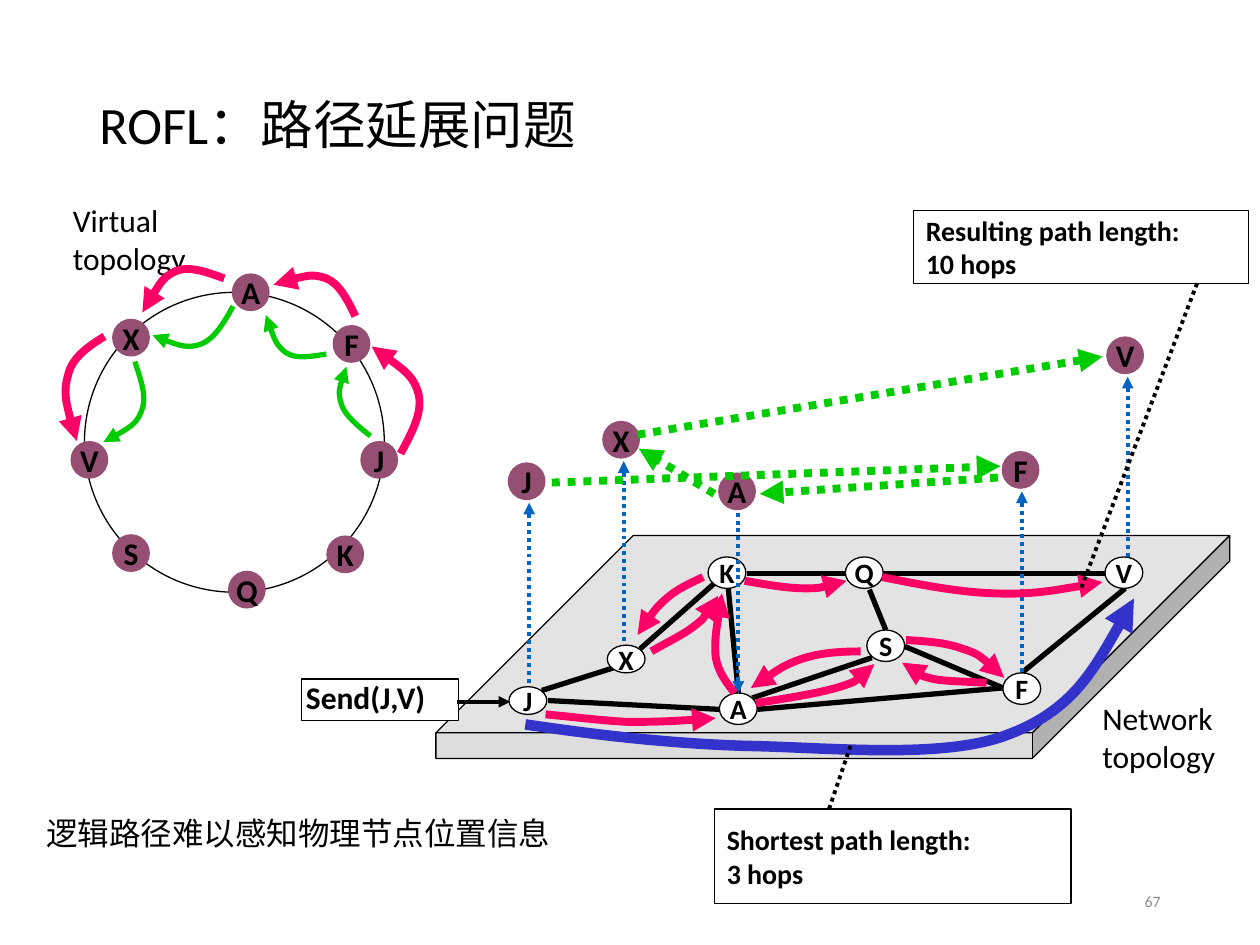
from dataclasses import dataclass

from lxml.etree import SubElement
from pptx import Presentation
from pptx.dml.color import RGBColor
from pptx.enum.dml import MSO_LINE
from pptx.enum.shapes import MSO_CONNECTOR, MSO_SHAPE as SHAPE
from pptx.enum.text import MSO_ANCHOR as ANCHOR, MSO_AUTO_SIZE as AUTO, PP_ALIGN as ALIGN
from pptx.oxml.ns import qn
from pptx.shapes.autoshape import Shape
from pptx.slide import Slide
from pptx.util import Pt

PX = 9144  # EMU per px, 100 px to the inch
LATIN, CJK = "Calibri", "Noto Sans CJK SC"

BLACK = RGBColor(0x00, 0x00, 0x00)
WHITE = RGBColor(0xFF, 0xFF, 0xFF)
SLAB = RGBColor(0xDD, 0xDD, 0xDD)
PLUM = RGBColor(0x95, 0x4F, 0x72)
GREEN = RGBColor(0x00, 0xCC, 0x00)
PINK = RGBColor(0xFF, 0x00, 0x66)
BLUE = RGBColor(0x05, 0x63, 0xC1)
INDIGO = RGBColor(0x33, 0x33, 0xCC)
GREY = RGBColor(0x8C, 0x8C, 0x8C)

Box = tuple[int, int, int, int]
Point = tuple[int, int]


@dataclass(frozen=True)
class Stroke:
    color: RGBColor
    width: float
    dotted: bool = False
    arrow: bool = False


@dataclass(frozen=True)
class Node:
    name: str
    x: int
    y: int
    w: int = 30
    h: int = 30


@dataclass(frozen=True)
class Callout:
    text: str
    box: Box
    start: Point
    end: Point


OUTLINE = Stroke(BLACK, 0.75)
LINK = Stroke(BLACK, 3)
ENTRY = Stroke(BLACK, 2.25, arrow=True)
LEADER = Stroke(BLACK, 2.25, dotted=True)
LIFT = Stroke(BLUE, 2.25, dotted=True, arrow=True)
VIRTUAL_HOP = Stroke(GREEN, 4.5, dotted=True, arrow=True)
RING_HOP = Stroke(GREEN, 3, arrow=True)
REAL_HOP = Stroke(PINK, 4.5, arrow=True)
SHORTEST = Stroke(INDIGO, 6, arrow=True)

RING_NODES = [
    Node("F", 264, 258), Node("A", 184, 217), Node("J", 286, 350), Node("K", 259, 425),
    Node("Q", 181, 453), Node("V", 56, 350), Node("S", 89, 424), Node("X", 89, 253),
]
ROUTERS = [
    Node("J", 404, 545, h=22), Node("K", 562, 442, h=25), Node("Q", 671, 442, h=25),
    Node("F", 796, 534, h=25), Node("V", 877, 442, h=25), Node("A", 571, 550, h=25),
    Node("S", 688, 500, h=25), Node("X", 482, 512, h=22),
]
LINKS = [
    ((487, 530), (430, 548)), ((508, 515), (567, 463)), ((571, 563), (435, 556)),
    ((593, 455), (671, 455)), ((701, 455), (877, 455)), ((893, 467), (811, 534)),
    ((796, 546), (601, 563)), ((796, 546), (718, 513)), ((692, 522), (597, 554)),
    ((690, 468), (703, 500)), ((578, 467), (586, 550)),
]
# Virtual nodes above the slab, and the dotted arrows that lift them
LIFTED_NODES = [
    Node("J", 403, 367), Node("F", 795, 358), Node("A", 570, 375),
    Node("X", 478, 334), Node("V", 878, 267),
]
LIFTS = [
    ((420, 542), (420, 399)), ((811, 533), (811, 390)), ((586, 407), (586, 550)),
    ((495, 509), (495, 366)), ((895, 442), (895, 299)),
]
VIRTUAL_HOPS = [
    ((438, 383), (794, 370)), ((792, 379), (603, 392)),
    ((567, 392), (507, 356)), ((506, 345), (875, 283)),
]
# Curves: a start point, then three Bezier points per segment
RING_HOPS = [
    [(294, 346), (284, 338), (274, 330), (271, 321), (268, 311), (271, 301), (275, 291)],
    [(259, 281), (247, 283), (235, 285), (227, 280), (219, 274), (215, 262), (211, 250)],
    [(185, 243), (178, 256), (170, 269), (160, 273), (149, 277), (135, 272), (121, 266)],
    [(107, 287), (112, 302), (117, 316), (112, 327), (108, 337), (95, 344), (82, 351)],
]
REAL_HOPS = [
    # around the ring
    [(318, 360), (327, 343), (336, 327), (332, 312), (328, 298), (312, 287), (295, 275)],
    [(282, 251), (276, 238), (269, 225), (259, 221), (248, 217), (232, 221), (217, 226)],
    [(178, 221), (164, 216), (151, 211), (140, 215), (129, 220), (121, 234), (113, 248)],
    [(83, 267), (70, 275), (57, 284), (54, 298), (50, 312), (55, 331), (61, 350)],
    # across the slab
    [(433, 567), (455, 569), (477, 572), (499, 573), (521, 573), (544, 572), (568, 570)],
    [(600, 558), (626, 554), (651, 550), (667, 545), (682, 540), (688, 533), (694, 527)],
    [(719, 508), (735, 509), (751, 510), (764, 515), (777, 519), (787, 528), (797, 538)],
    [(783, 542), (768, 541), (752, 541), (741, 539), (729, 536), (722, 531), (716, 526)],
    [(683, 517), (667, 517), (651, 518), (636, 523), (622, 528), (609, 537), (596, 546)],
    [(583, 550), (577, 542), (570, 534), (568, 521), (567, 508), (570, 489), (573, 471)],
    [(558, 458), (548, 463), (538, 467), (529, 475), (520, 483), (513, 493), (506, 504)],
    [(517, 517), (529, 510), (542, 504), (551, 497), (560, 490), (565, 481), (570, 473)],
    [(591, 461), (608, 464), (625, 467), (639, 467), (652, 467), (662, 464), (672, 461)],
    [(700, 458), (730, 464), (760, 470), (790, 471), (819, 472), (847, 467), (875, 462)],
]
SHORTEST_ROUTE = [
    (417, 575), (472, 583), (528, 590), (592, 592), (656, 593),
    (749, 603), (800, 583), (851, 564), (876, 519), (900, 475),
]
CALLOUTS = [
    Callout("Resulting path length:\n10 hops", (725, 167, 266, 58), (950, 225), (858, 467)),
    Callout("Shortest path length:\n3 hops", (567, 642, 283, 75), (658, 642), (675, 592)),
]


def write(sp: Shape, text: str, *, size: float = 18, font: str = LATIN,
          color: RGBColor = BLACK, bold: bool = False, align: ALIGN = ALIGN.LEFT,
          anchor: ANCHOR = ANCHOR.TOP, wrap: bool = True, spacing: float = 1.0) -> None:
    tf = sp.text_frame
    tf.word_wrap, tf.auto_size, tf.vertical_anchor = wrap, AUTO.NONE, anchor
    for i, line in enumerate(text.split("\n")):
        p = tf.paragraphs[0] if i == 0 else tf.add_paragraph()
        p.alignment, p.line_spacing = align, spacing
        r = p.add_run()
        r.text = line
        r.font.size, r.font.bold, r.font.name = Pt(size), bold, font
        r.font.color.rgb = color
        SubElement(r.font._element, qn("a:ea"), typeface=CJK)


def add_text(s: Slide, box: Box, text: str, **fmt) -> None:
    write(s.shapes.add_textbox(*(v * PX for v in box)), text, **fmt)


def apply_stroke(line, stroke: Stroke) -> None:
    line.color.rgb, line.width = stroke.color, Pt(stroke.width)
    if stroke.dotted:
        line.dash_style = MSO_LINE.ROUND_DOT
    if stroke.arrow:
        SubElement(line._get_or_add_ln(), qn("a:tailEnd"), type="triangle")


def add_shape(s: Slide, kind: SHAPE, box: Box, fill: RGBColor | None,
              stroke: Stroke | None = OUTLINE) -> Shape:
    sp = s.shapes.add_shape(kind, *(v * PX for v in box))
    sp.shadow.inherit = False
    if fill is None:
        sp.fill.background()
    else:
        sp.fill.solid()
        sp.fill.fore_color.rgb = fill
    if stroke is None:
        sp.line.fill.background()
    else:
        apply_stroke(sp.line, stroke)
    return sp


def add_line(s: Slide, start: Point, end: Point, stroke: Stroke) -> None:
    c = s.shapes.add_connector(MSO_CONNECTOR.STRAIGHT, *(v * PX for v in start + end))
    apply_stroke(c.line, stroke)
    SubElement(c._element.spPr, qn("a:effectLst"))


def add_curve(s: Slide, points: list[Point], stroke: Stroke) -> None:
    builder = s.shapes.build_freeform(*points[0], scale=PX)
    builder.add_line_segments(points[1:], close=False)
    sp = builder.convert_to_shape()
    sp.shadow.inherit = False
    sp.fill.background()
    apply_stroke(sp.line, stroke)
    # Join each three straight segments into one Bezier segment
    segments = list(sp._element.iter(qn("a:lnTo")))
    for first, *others in zip(segments[::3], segments[1::3], segments[2::3]):
        first.tag = qn("a:cubicBezTo")
        for seg in others:
            first.append(seg[0])
            seg.getparent().remove(seg)


def add_node(s: Slide, n: Node, fill: RGBColor, stroke: Stroke | None, size: int) -> None:
    sp = add_shape(s, SHAPE.OVAL, (n.x, n.y, n.w, n.h), fill, stroke)
    write(sp, n.name, size=size, bold=True, align=ALIGN.CENTER, anchor=ANCHOR.MIDDLE, wrap=False)


def add_callout(s: Slide, c: Callout) -> None:
    sp = add_shape(s, SHAPE.RECTANGLE, c.box, None)
    write(sp, c.text, size=16, bold=True, anchor=ANCHOR.MIDDLE)
    add_line(s, c.start, c.end, LEADER)


def main() -> None:
    prs = Presentation()
    prs.slide_width, prs.slide_height = 1000 * PX, 750 * PX
    s = prs.slides.add_slide(prs.slide_layouts[6])
    add_text(s, (69, 40, 862, 123), "ROFL：路径延展问题", size=30, anchor=ANCHOR.MIDDLE, spacing=0.9)

    # Network topology on the slab
    add_shape(s, SHAPE.CUBE, (346, 425, 630, 177), SLAB).adjustments[0] = 0.885
    add_shape(s, SHAPE.RECTANGLE, (239, 539, 125, 33), WHITE)
    for start, end in LINKS:
        add_line(s, start, end, LINK)
    for node in ROUTERS:
        add_node(s, node, WHITE, OUTLINE, 16)
    add_text(s, (865, 550, 119, 70), "Network\ntopology", wrap=False)
    add_text(s, (233, 533, 116, 40), "Send(J,V)", bold=True, wrap=False)
    add_line(s, (363, 557), (405, 557), ENTRY)

    # Virtual topology ring
    add_text(s, (48, 155, 115, 70), "Virtual\ntopology", wrap=False)
    add_shape(s, SHAPE.OVAL, (67, 232, 238, 238), WHITE)
    for node in RING_NODES:
        add_node(s, node, PLUM, None, 18)
    for curve in RING_HOPS:
        add_curve(s, curve, RING_HOP)

    # Virtual hops above the slab
    for start, end in LIFTS:
        add_line(s, start, end, LIFT)
    for node in LIFTED_NODES:
        add_node(s, node, PLUM, None, 18)
    for start, end in VIRTUAL_HOPS:
        add_line(s, start, end, VIRTUAL_HOP)

    # Routes taken, callouts and footer
    for curve in REAL_HOPS:
        add_curve(s, curve, REAL_HOP)
    add_curve(s, SHORTEST_ROUTE, SHORTEST)
    for callout in CALLOUTS:
        add_callout(s, callout)
    add_text(s, (27, 641, 525, 40), "逻辑路径难以感知物理节点位置信息", font=CJK)
    add_text(s, (706, 695, 225, 40), "67", size=9, color=GREY, align=ALIGN.RIGHT, anchor=ANCHOR.MIDDLE)
    prs.save("out.pptx")


if __name__ == "__main__":
    main()
